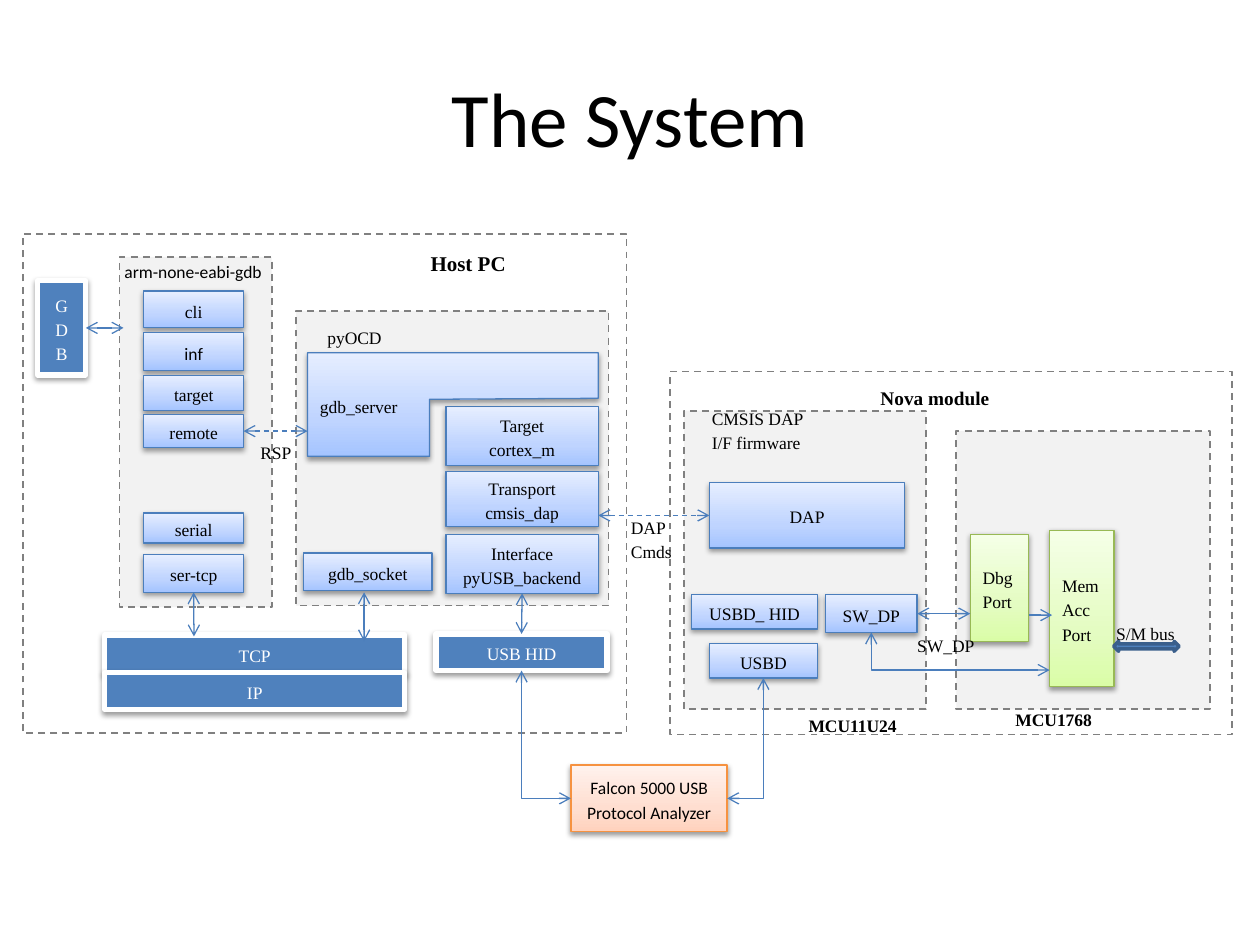
from copy import deepcopy

from lxml.etree import SubElement
from pptx import Presentation
from pptx.dml.color import RGBColor
from pptx.enum.dml import MSO_LINE
from pptx.enum.shapes import MSO_CONNECTOR as LINK, MSO_SHAPE as SHAPE
from pptx.enum.text import MSO_ANCHOR as ANCHOR, PP_ALIGN as ALIGN
from pptx.oxml.ns import qn
from pptx.util import Cm, Pt

COLORS = {"panel": "F2F2F2", "frame": "808080", "link": "4B7EBC", "solid": "4F81BD",
          "bus": "3A5F8C", "white": "FFFFFF", "black": "000000"}
COLORS = {name: RGBColor.from_string(value) for name, value in COLORS.items()}
# Gradient stops from bottom to top, then the outline
GRADIENTS = {"blue": ["A4C4FF", "BFD4FF", "E6EEFF", "4B7EBC"],
             "green": ["DAFDA7", "E4FCC2", "F5FFE7", "98B955"],
             "orange": ["FFD2BD", "FFDED0", "FFF2ED", "F69240"]}
SERIF, SANS = "Times New Roman", "Calibri"


def write(shape, text, align, font=SERIF, size=10, bold=False, color="black"):
    frame = shape.text_frame
    frame.word_wrap = True
    frame.vertical_anchor = ANCHOR.MIDDLE
    line = frame.paragraphs[0]
    line.text = text
    line.alignment = align
    line.font.name, line.font.size, line.font.bold = font, Pt(size), bold
    line.font.color.rgb = COLORS[color]
    if size < 44:
        line.line_spacing = 1.15
        line.space_after = Pt(10)


def paint(block, look):
    """Give a block its gradient or solid fill, its outline and a soft shadow."""
    if look == "solid":
        block.fill.solid()
        block.fill.fore_color.rgb = COLORS["solid"]
        block.line.color.rgb = COLORS["white"]
        block.line.width = Pt(3)
    else:
        *stops, outline = GRADIENTS[look]
        block.fill.gradient()
        block.fill.gradient_angle = 90
        stop_list = block._element.spPr.find(".//" + qn("a:gsLst"))
        stop_list.insert(1, deepcopy(stop_list[0]))
        for stop, position, value in zip(block.fill.gradient_stops, (0, 0.35, 1), stops):
            stop.position = position
            stop.color.rgb = RGBColor.from_string(value)
        block.line.color.rgb = RGBColor.from_string(outline)
        block.line.width = Pt(0.75)
    block.shadow.inherit = False
    shadow = SubElement(block._element.spPr.find(qn("a:effectLst")), qn("a:outerShdw"),
                        blurRad=str(Pt(3.1)), dist=str(Pt(1.6)), dir="5400000", rotWithShape="0")
    tint = SubElement(shadow, qn("a:srgbClr"), val="000000")
    SubElement(tint, qn("a:alpha"), val="38000")


prs = Presentation()
prs.slide_width, prs.slide_height = Cm(25.4), Cm(19.05)
slide = prs.slides.add_slide(prs.slide_layouts[6])
shapes = slide.shapes

# Dashed areas: the two machines, then the parts inside them
areas = [
    (0.46, 4.72, 12.17, 10.06, False),
    (13.51, 7.49, 11.33, 7.32, False),
    (19.28, 8.69, 5.11, 5.61, True),
    (13.79, 8.28, 4.88, 6.02, True),
    (5.97, 6.27, 6.3, 5.94, True),
    (2.41, 5.18, 3.07, 7.06, True),
]
for *box, filled in areas:
    area = shapes.add_shape(SHAPE.RECTANGLE, *map(Cm, box))
    area.shadow.inherit = False
    if filled:
        area.fill.solid()
        area.fill.fore_color.rgb = COLORS["panel"]
    else:
        area.fill.background()
    area.line.color.rgb = COLORS["frame"]
    area.line.width = Pt(1)
    area.line.dash_style = MSO_LINE.DASH

# Blocks, kept by the first line of their text
gdb_stack = [("cli", 5.87, 0.74), ("inf", 6.71, 0.76), ("target", 7.57, 0.71),
             ("remote", 8.36, 0.66), ("serial", 10.34, 0.61), ("ser-tcp", 11.18, 0.76)]
pyocd_stack = [("Target\ncortex_m", 8.2, 1.19), ("Transport\ncmsis_dap", 9.5, 1.12),
               ("Interface\npyUSB_backend", 10.77, 1.19)]
blocks = [(text, 2.9, top, 2.01, height, "blue") for text, top, height in gdb_stack]
blocks += [(text, 8.99, top, 3.07, height, "blue") for text, top, height in pyocd_stack]
blocks += [
    ("DAP", 14.3, 9.73, 3.94, 1.32, "blue"),
    ("USBD", 14.3, 12.98, 2.18, 0.69, "blue"),
    ("USBD_ HID", 13.94, 11.99, 2.54, 0.69, "blue"),
    ("SW_DP", 16.64, 11.99, 1.85, 0.76, "blue"),
    ("gdb_socket", 6.12, 11.15, 2.59, 0.76, "blue"),
    ("Dbg Port", 19.56, 10.77, 1.17, 2.16, "green"),
    ("Mem Acc Port", 21.16, 10.69, 1.3, 3.15, "green"),
    ("Falcon 5000 USB Protocol Analyzer", 11.51, 15.42, 3.15, 1.35, "orange"),
    ("TCP", 2.11, 12.8, 6.05, 0.76, "solid"),
    ("IP", 2.11, 13.56, 6.05, 0.74, "solid"),
    ("USB HID", 8.79, 12.78, 3.45, 0.74, "solid"),
    ("GDB", 0.76, 5.66, 0.97, 1.9, "solid"),
]
placed = {}
for text, *box, look in blocks:
    block = shapes.add_shape(SHAPE.RECTANGLE, *map(Cm, box))
    paint(block, look)
    write(block, text, ALIGN.LEFT if look == "green" else ALIGN.CENTER,
          font=SANS if text == "inf" or look == "orange" else SERIF,
          color="white" if look == "solid" else "black")
    placed[text.split("\n")[0]] = block

outline = [(6.2, 7.11), (12.06, 7.11), (12.06, 8.03), (8.66, 8.05), (8.66, 9.2), (6.2, 9.2)]
corners = [(Cm(x), Cm(y)) for x, y in outline]
builder = shapes.build_freeform(*corners[0])
builder.add_line_segments(corners[1:], close=True)
gdb_server = builder.convert_to_shape()
paint(gdb_server, "blue")
write(gdb_server, "gdb_server", ALIGN.LEFT)

# Links: ends, kind, and the block side that each end is joined to
analyzer = "Falcon 5000 USB Protocol Analyzer"
links = [
    (4.91, 8.69, 6.2, 8.69, "dashed", ("remote", 3), None),
    (12.06, 10.39, 14.3, 10.39, "dashed", None, ("DAP", 1)),
    (18.49, 12.37, 19.56, 12.37, "plain", ("SW_DP", 3), None),
    (3.91, 11.94, 3.91, 12.83, "plain", ("ser-tcp", 2), None),
    (7.34, 11.94, 7.34, 12.93, "plain", None, None),
    (1.73, 6.61, 2.49, 6.61, "plain", ("GDB", 3), None),
    (20.75, 12.4, 21.21, 12.4, "one-way", None, None),
    (10.53, 11.96, 10.52, 12.78, "plain", ("Interface", 2), ("USB HID", 0)),
    (21.16, 13.51, 17.56, 12.75, "bent", None, ("SW_DP", 2)),
    (11.51, 16.1, 10.52, 13.52, "bent", (analyzer, 1), ("USB HID", 2)),
    (14.66, 16.1, 15.39, 13.67, "bent", (analyzer, 3), ("USBD", 2)),
]
for *ends, kind, start, finish in links:
    link = shapes.add_connector(LINK.ELBOW if kind == "bent" else LINK.STRAIGHT, *map(Cm, ends))
    if start:
        link.begin_connect(placed[start[0]], start[1])
    if finish:
        link.end_connect(placed[finish[0]], finish[1])
    link.line.color.rgb = COLORS["link"]
    link.line.width = Pt(0.75)
    if kind == "dashed":
        link.line.dash_style = MSO_LINE.DASH
    properties = link._element.spPr
    if kind == "bent":
        properties.find(qn("a:prstGeom")).set("prst", "bentConnector2")
    for arrowhead in ("a:tailEnd",) if kind == "one-way" else ("a:headEnd", "a:tailEnd"):
        SubElement(properties.find(qn("a:ln")), qn(arrowhead), type="arrow")
    SubElement(properties, qn("a:effectLst"))

bus = shapes.add_shape(SHAPE.LEFT_RIGHT_ARROW, Cm(22.45), Cm(12.93), Cm(1.32), Cm(0.2))
bus.shadow.inherit = False
bus.fill.solid()
bus.fill.fore_color.rgb = COLORS["solid"]
bus.line.color.rgb = COLORS["bus"]
bus.line.width = Pt(2)

labels = [
    ("arm-none-eabi-gdb", 2.26, 5.08, 3.48, 0.74, {"font": SANS}),
    ("pyOCD", 6.35, 6.45, 1.8, 0.66, {}),
    ("CMSIS DAP\nI/F firmware", 14.1, 8.05, 2.69, 1.19, {}),
    ("RSP", 5, 8.71, 1.35, 0.76, {}),
    ("DAP Cmds", 12.47, 10.21, 1.35, 1.27, {}),
    ("SW_DP", 18.24, 12.6, 1.9, 0.76, {}),
    ("MCU11U24", 16.05, 14.27, 2.6, 0.66, {"bold": True}),
    ("MCU1768", 20.22, 14.15, 2.6, 0.66, {"bold": True}),
    ("Host PC", 8.43, 4.9, 3.48, 0.74, {"size": 12, "bold": True}),
    ("Nova module", 17.5, 7.62, 3.48, 0.74, {"size": 11, "bold": True}),
    ("S/M bus", 22.25, 12.37, 1.9, 0.74, {}),
]
for text, *box, style in labels:
    write(shapes.add_textbox(*map(Cm, box)), text, ALIGN.LEFT, **style)

title = shapes.add_textbox(Cm(1.27), Cm(0.76), Cm(22.86), Cm(3.18))
write(title, "The System", ALIGN.CENTER, font=SANS, size=44)

prs.save("out.pptx")
